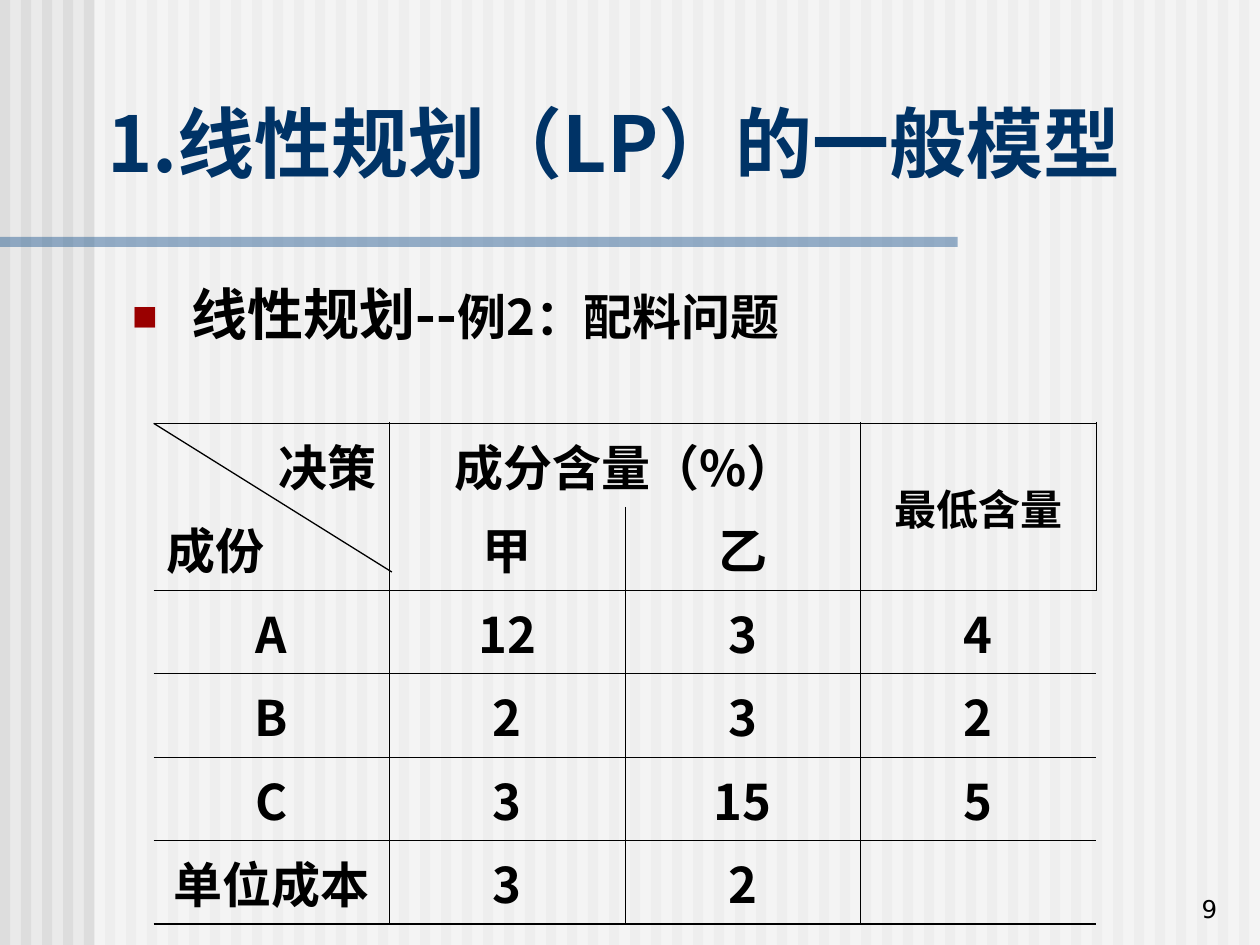
from lxml import etree
from pptx import Presentation
from pptx.dml.color import RGBColor
from pptx.enum.shapes import MSO_CONNECTOR, MSO_SHAPE
from pptx.enum.text import MSO_ANCHOR, MSO_AUTO_SIZE, PP_ALIGN
from pptx.oxml.ns import qn
from pptx.util import Inches, Pt

RECTANGLE = MSO_SHAPE.RECTANGLE
STRAIGHT = MSO_CONNECTOR.STRAIGHT
TOP, MIDDLE, BOTTOM = MSO_ANCHOR.TOP, MSO_ANCHOR.MIDDLE, MSO_ANCHOR.BOTTOM
LEFT, CENTER, RIGHT, JUSTIFY = PP_ALIGN.LEFT, PP_ALIGN.CENTER, PP_ALIGN.RIGHT, PP_ALIGN.JUSTIFY
NO_AUTOFIT = MSO_AUTO_SIZE.NONE

MAIN_FONT, NUMBER_FONT = "Noto Sans CJK SC", "DejaVu Sans"
BLACK, NAVY, BLUE, RED = "000000", "003366", "336699", "9A0000"
PLAIN_TABLE_STYLE = "{2D5ABB26-0587-4C30-8999-92F81FD0307C}"
THIN, THICK = 0.45, 1.08

TABLE_ROWS = [
    ["决策", "成分含量（%）", "", "最低含量"],
    ["成份", "甲", "乙", ""],
    ["A", "12", "3", "4"],
    ["B", "2", "3", "2"],
    ["C", "3", "15", "5"],
    ["单位成本", "3", "2", ""],
]


def color(value):
    return RGBColor.from_string(value)


def add_xml(parent, tag, **attributes):
    return etree.SubElement(parent, qn(tag), attributes)


def add_run(paragraph, text, size, font=MAIN_FONT, fill=BLACK, bold=True):
    run = paragraph.add_run()
    run.text = text
    run.font.size = Pt(size)
    run.font.bold = bold
    run.font.name = font
    run.font.color.rgb = color(fill)
    add_xml(run.font._element, "a:ea", typeface=font)


def place(shape, box):
    shape.left, shape.top, shape.width, shape.height = map(Inches, box)


def prepare_frame(shape, anchor):
    frame = shape.text_frame
    frame.word_wrap = True
    frame.auto_size = NO_AUTOFIT
    frame.vertical_anchor = anchor
    return frame.paragraphs[0]


def add_bar(group, box, fill, opacity=100):
    bar = group.shapes.add_shape(RECTANGLE, *map(Inches, box))
    bar.shadow.inherit = False
    bar.line.fill.background()
    bar.fill.solid()
    bar.fill.fore_color.rgb = color(fill)
    if opacity < 100:
        fill_color = bar._element.spPr.find(qn("a:solidFill"))[0]
        add_xml(fill_color, "a:alpha", val=str(opacity * 1000))


def add_backdrop(slide, box):
    left, top, width, height = box
    slide.background.fill.solid()
    slide.background.fill.fore_color.rgb = color("EAEAEA")
    group = slide.shapes.add_group_shape()
    # Six stripes to the inch
    for index in range(int(width * 6)):
        add_bar(group, (left + index / 6, top, 0.08, height), "DDDDDD")
    # Veil over the stripes and rule under the title
    add_bar(group, (left + 0.75, top, width - 0.75, height), "FFFFFF", 50)
    add_bar(group, (left, top + 1.88, 7.6, 0.08), BLUE, 50)
    # Send behind the placeholders
    slide.shapes._spTree.insert(2, group._element)


def add_title(slide, box):
    title = slide.shapes.title
    place(title, box)
    paragraph = prepare_frame(title, MIDDLE)
    paragraph.alignment = LEFT
    add_run(paragraph, "1.线性规划（LP）的一般模型", 44, fill=NAVY)


def add_body(slide, box):
    body = slide.placeholders[1]
    place(body, box)
    paragraph = prepare_frame(body, TOP)
    paragraph.alignment = JUSTIFY
    paragraph.space_before = Pt(7)
    # Square bullet with a hanging indent
    properties = paragraph._p.get_or_add_pPr()
    properties.set("marL", str(Inches(0.67)))
    properties.set("indent", str(Inches(-0.67)))
    bullet_color = add_xml(properties, "a:buClr")
    add_xml(bullet_color, "a:srgbClr", val=RED)
    add_xml(properties, "a:buSzPct", val="135000")
    add_xml(properties, "a:buFont", typeface=MAIN_FONT)
    add_xml(properties, "a:buChar", char="▪")
    add_run(paragraph, "线性规划--", 32)
    add_run(paragraph, "例2：配料问题", 28)


def set_border(cell, side, width):
    line = add_xml(cell._tc.get_or_add_tcPr(), f"a:ln{side}", w=str(Pt(width)))
    fill = add_xml(line, "a:solidFill")
    add_xml(fill, "a:srgbClr", val=BLACK)


def format_cell(cell, row, column):
    last_row = len(TABLE_ROWS) - 1
    # Rules beside the middle columns and between all rows below the header
    if column in (1, 3):
        set_border(cell, "L", THIN)
    if column in (0, 2):
        set_border(cell, "R", THIN)
    if row != 1:
        set_border(cell, "T", THICK if row == 0 else THIN)
    if row != 0:
        set_border(cell, "B", THICK if row == last_row else THIN)
    cell.fill.background()
    cell.vertical_anchor = MIDDLE

    text = TABLE_ROWS[row][column]
    if text:
        paragraph = cell.text_frame.paragraphs[0]
        paragraph.alignment = {"决策": RIGHT, "成份": LEFT}.get(text, CENTER)
        size, space = (24, 6) if text == "最低含量" else (28, 7)
        paragraph.space_before = Pt(space)
        add_run(paragraph, text, size)


def add_content_table(slide, box):
    left, top, width, height = box
    row_count, column_count = len(TABLE_ROWS), len(TABLE_ROWS[0])
    frame = slide.shapes.add_table(row_count, column_count, *map(Inches, box))
    table = frame.table
    table.first_row = table.horz_banding = False
    table._tbl.tblPr.find(qn("a:tableStyleId")).text = PLAIN_TABLE_STYLE
    for column in table.columns:
        column.width = Inches(width / column_count)
    for index, row in enumerate(table.rows):
        row.height = Inches(0.57 if index in (0, row_count - 1) else 0.62)
    for row in range(row_count):
        for column in range(column_count):
            format_cell(table.cell(row, column), row, column)
    table.cell(0, 1).merge(table.cell(0, 2))
    table.cell(0, 3).merge(table.cell(1, 3))

    # Diagonal of the corner cell
    diagonal = slide.shapes.add_connector(
        STRAIGHT, *map(Inches, (left, top, left + 1.89, top + 1.18)))
    diagonal.line.color.rgb = color(BLACK)
    diagonal.line.width = Pt(0.75)
    add_xml(diagonal._element.spPr, "a:effectLst")


def add_page_number(slide, box):
    paragraph = prepare_frame(slide.shapes.add_textbox(*map(Inches, box)), BOTTOM)
    paragraph.alignment = RIGHT
    add_run(paragraph, "9", 14, font=NUMBER_FONT, bold=False)


def main():
    presentation = Presentation()
    presentation.slide_width, presentation.slide_height = Inches(10), Inches(7.5)
    slide = presentation.slides.add_slide(presentation.slide_layouts[1])
    add_backdrop(slide, (0, 0, 10, 7.5))
    add_title(slide, (0.75, 0.5, 8.5, 1.25))
    add_body(slide, (0.75, 2.17, 8.5, 4.5))
    add_content_table(slide, (1.22, 3.36, 7.48, 3.61))
    add_page_number(slide, (7.68, 6.88, 2.08, 0.5))
    presentation.save("out.pptx")


if __name__ == "__main__":
    main()
